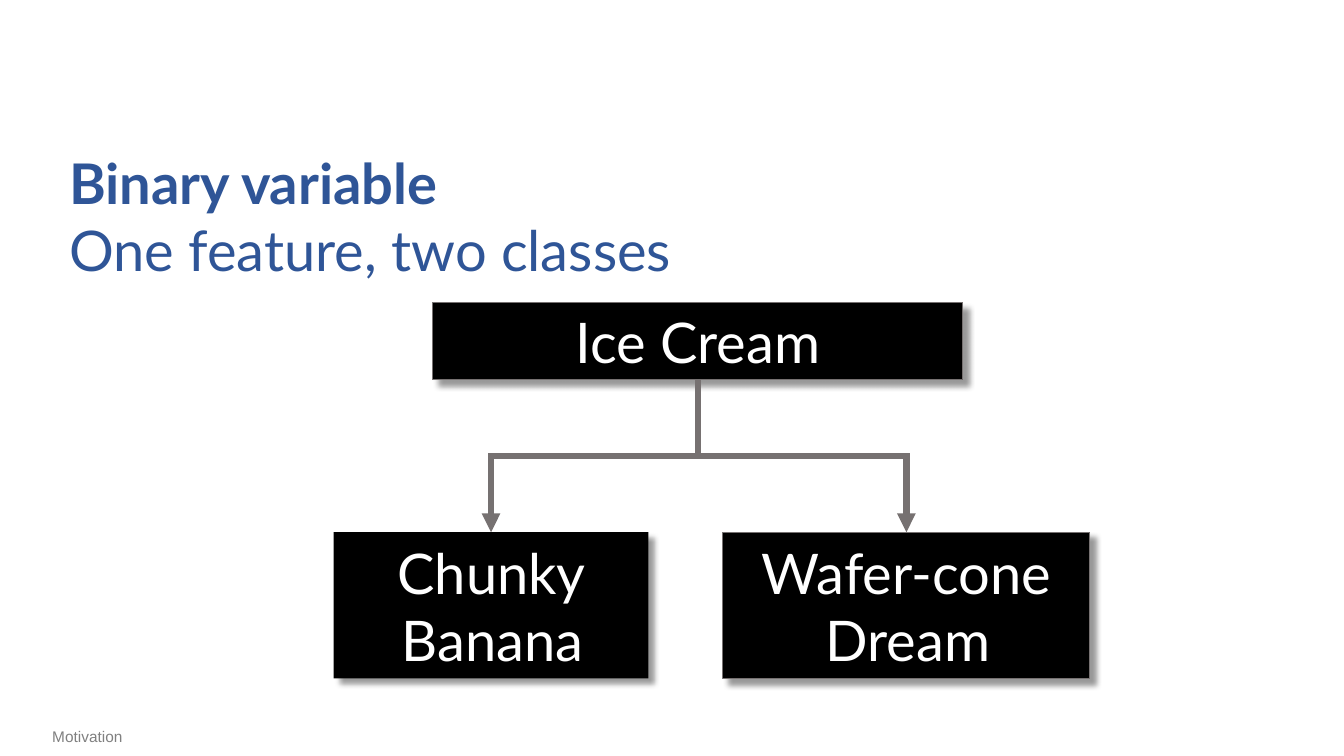
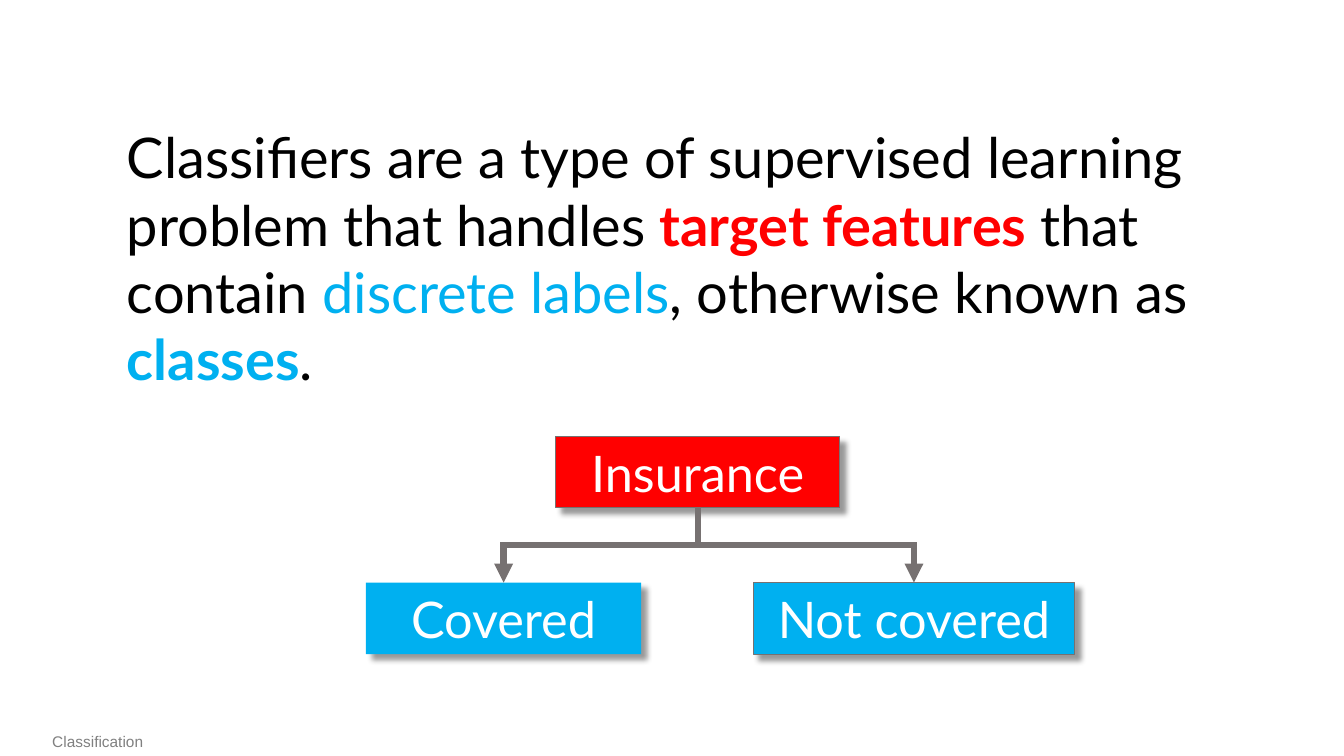
from lxml import etree
from pptx import Presentation
from pptx.dml.color import RGBColor as RGB
from pptx.enum.shapes import MSO_CONNECTOR as CONN, MSO_SHAPE as SHAPE
from pptx.enum.text import MSO_ANCHOR as ANCHOR, MSO_AUTO_SIZE as FIT, PP_ALIGN as ALIGN
from pptx.oxml import parse_xml
from pptx.oxml.ns import nsdecls, qn
from pptx.util import Inches, Pt

BLACK = RGB(0x00, 0x00, 0x00)
WHITE = RGB(0xFF, 0xFF, 0xFF)
GRAY = RGB(0x80, 0x80, 0x80)
STEEL = RGB(0x76, 0x71, 0x71)
NAVY = RGB(0x2F, 0x55, 0x97)
RED = RGB(0xFF, 0x00, 0x00)
SKY = RGB(0x00, 0xB0, 0xF0)

SHADOW = (
    f'<a:effectLst {nsdecls("a")}>'
    f'<a:outerShdw blurRad="{Pt(4)}" dist="{Pt(6)}" dir="2700000" algn="tl" rotWithShape="0">'
    '<a:srgbClr val="000000"><a:alpha val="40000"/></a:srgbClr>'
    '</a:outerShdw></a:effectLst>'
)

SLIDES = [
    {
        "foot": ("Motivation", 7.16),
        "text": (0.59, 1.42, 8.2, 1.45),
        "hang": 0.03,
        "lines": [
            [("Binary variable", NAVY, True)],
            [("One feature, two classes", NAVY, False)],
        ],
        "size": 40,
        "boxes": [
            ("Ice Cream", (4.29, 3, 5.26, 0.77), BLACK, True),
            ("Chunky Banana", (3.31, 5.28, 3.12, 1.45), BLACK, False),
            ("Wafer-cone Dream", (7.17, 5.28, 3.64, 1.45), BLACK, True),
        ],
    },
    {
        "foot": ("Classification", 7.21),
        "text": (1.16, 1.17, 11.54, 2.79),
        "hang": 0,
        "lines": [[
            ("Classifiers are a type of supervised learning problem that handles ", BLACK, False),
            ("target features ", RED, True),
            ("that contain ", BLACK, False),
            ("discrete labels", SKY, False),
            (", otherwise known as ", BLACK, False),
            ("classes", SKY, True),
            (".", BLACK, False),
        ]],
        "size": 36,
        "boxes": [
            ("Insurance", (5.51, 4.33, 2.82, 0.71), RED, True),
            ("Covered", (3.63, 5.78, 2.73, 0.71), SKY, False),
            ("Not covered", (7.47, 5.78, 3.19, 0.71), SKY, True),
        ],
    },
]


def write(shape, lines, size, face="Lato", align=ALIGN.LEFT, hang=0.0):
    frame = shape.text_frame
    frame.word_wrap = True
    frame.auto_size = FIT.SHAPE_TO_FIT_TEXT
    for i, line in enumerate(lines):
        para = frame.add_paragraph() if i else frame.paragraphs[0]
        para.alignment = align
        if hang:
            props = para._p.get_or_add_pPr()
            props.set("marL", str(Inches(hang)))
            props.set("indent", str(-Inches(hang)))
        for text, color, bold in line:
            run = para.add_run()
            run.text = text
            run.font.color.rgb = color
            for name, value in {"name": face, "size": Pt(size), "bold": bold}.items():
                setattr(run.font, name, value)


def link(slide, top, leaf):
    x1, y1 = top.left + top.width // 2, top.top + top.height
    x2, y2 = leaf.left + leaf.width // 2, leaf.top
    line = slide.shapes.add_connector(CONN.ELBOW, x1, y1, x2, y2)
    line.begin_connect(top, 2)
    line.end_connect(leaf, 0)
    wide, high = y2 - y1, abs(x2 - x1)
    place = {
        "left": (x1 + x2 - wide) // 2,
        "top": (y1 + y2 - high) // 2,
        "width": wide,
        "height": high,
    }
    for name, value in place.items():
        setattr(line, name, value)
    props = line._element.spPr
    frame = props.find(qn("a:xfrm"))
    frame.set("rot", str((90 if x2 < x1 else 270) * 60000))
    frame.set("flipH", "0" if x2 < x1 else "1")
    line.line.color.rgb = STEEL
    line.line.width = Pt(4.5)
    stroke = line.line._get_or_add_ln()
    etree.SubElement(stroke, qn("a:miter"), lim="800000")
    etree.SubElement(stroke, qn("a:tailEnd"), type="triangle")
    etree.SubElement(props, qn("a:effectLst"))


deck = Presentation()
deck.slide_width = Inches(13.33)
deck.slide_height = Inches(7.5)

for data in SLIDES:
    slide = deck.slides.add_slide(deck.slide_layouts[6])

    label, y = data["foot"]
    foot = slide.shapes.add_textbox(Inches(0.42), Inches(y), Inches(2.27), Inches(0.29))
    write(foot, [[(label, GRAY, False)]], 11, face="Arial")

    body = slide.shapes.add_textbox(*map(Inches, data["text"]))
    write(body, data["lines"], 40, hang=data["hang"])

    nodes = []
    for text, area, fill, edge in data["boxes"]:
        box = slide.shapes.add_shape(SHAPE.RECTANGLE, *map(Inches, area))
        box.fill.solid()
        box.fill.fore_color.rgb = fill
        if edge:
            box.line.color.rgb = STEEL
            box.line.width = Pt(0.75)
        else:
            box.line.fill.background()
        box._element.spPr.append(parse_xml(SHADOW))
        box.text_frame.vertical_anchor = ANCHOR.MIDDLE
        write(box, [[(text, WHITE, False)]], data["size"], align=ALIGN.CENTER, hang=0.03)
        nodes.append(box)

    root, *leaves = nodes
    for leaf in leaves:
        link(slide, root, leaf)

deck.save("out.pptx")
